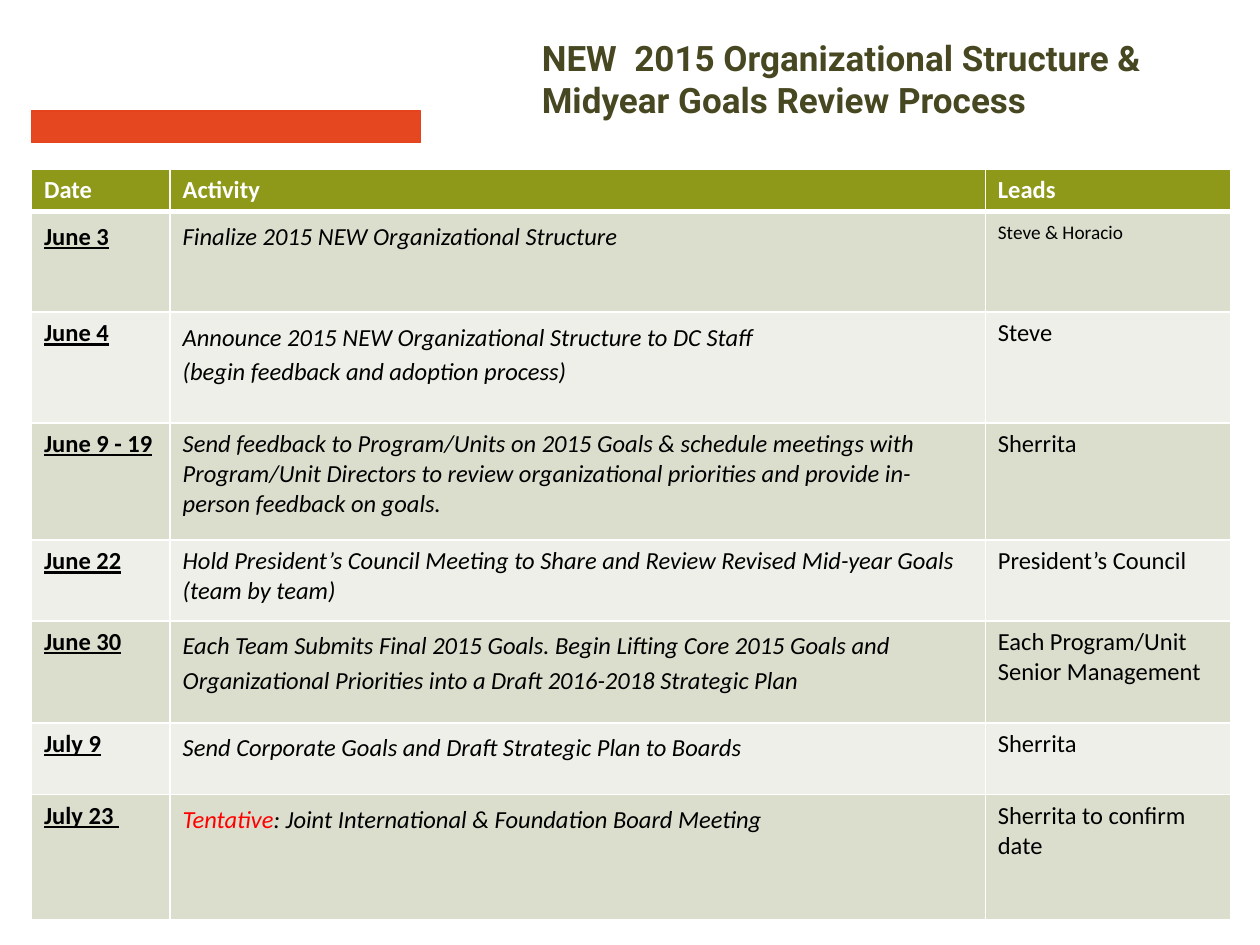
from dataclasses import dataclass

from lxml import etree
from pptx import Presentation
from pptx.dml.color import RGBColor
from pptx.enum.shapes import MSO_SHAPE
from pptx.enum.text import MSO_ANCHOR, MSO_AUTO_SIZE, PP_ALIGN
from pptx.oxml.ns import qn
from pptx.util import Inches, Pt

RECTANGLE = MSO_SHAPE.RECTANGLE
LEFT = PP_ALIGN.LEFT
MIDDLE = MSO_ANCHOR.MIDDLE
NO_AUTOFIT = MSO_AUTO_SIZE.NONE
TITLE_ONLY = 5

COLORS = {
    "accent": "E54721",
    "accent_line": "E5431B",
    "title": "474822",
    "header": "8E991A",
    "odd_row": "DBDECD",
    "even_row": "EEEFE8",
    "white": "FFFFFF",
    "black": "000000",
    "tentative": "FF0000",
}
HEADINGS = ("Date", "Activity", "Leads")
COLUMN_WIDTHS = (1.1, 6.47, 1.95)
HEADER_HEIGHT = 0.32
LOOSE = 1.15


@dataclass
class Step:
    date: str
    activity: str
    leads: str
    height: float
    activity_spacing: float = 1.0
    side_spacing: float = 1.0
    leads_size: int = 14
    flag: str = ""


STEPS = (
    Step("June 3", "Finalize 2015 NEW Organizational Structure", "Steve & Horacio",
         0.8, LOOSE, LOOSE, 11),
    Step("June 4", "Announce 2015 NEW Organizational Structure to DC Staff\n"
         "(begin feedback and adoption process)", "Steve", 0.88, LOOSE),
    Step("June 9 - 19", "Send feedback to Program/Units on 2015 Goals & schedule meetings "
         "with Program/Unit Directors to review organizational priorities and provide "
         "in-person feedback on goals.", "Sherrita", 0.93),
    Step("June 22", "Hold President’s Council Meeting to Share and Review Revised "
         "Mid-year Goals (team by team)", "President’s Council", 0.64),
    Step("June 30", "Each Team Submits Final 2015 Goals. Begin Lifting Core 2015 Goals "
         "and Organizational Priorities into a Draft 2016-2018 Strategic Plan",
         "Each Program/Unit\nSenior Management", 0.81, LOOSE),
    Step("July 9", "Send Corporate Goals and Draft Strategic Plan to Boards", "Sherrita",
         0.57, LOOSE),
    Step("July 23 ", ": Joint International & Foundation Board Meeting",
         "Sherrita to confirm date", 0.99, LOOSE, flag="Tentative"),
)


def rgb(name: str) -> RGBColor:
    return RGBColor.from_string(COLORS[name])


def set_borders(cell, bottom: float) -> None:
    properties = cell._tc.get_or_add_tcPr()
    widths = {"a:lnL": 1, "a:lnR": 1, "a:lnT": 1, "a:lnB": bottom}
    for position, (tag, width) in enumerate(widths.items()):
        border = etree.Element(qn(tag), w=str(Pt(width)))
        fill = etree.SubElement(border, qn("a:solidFill"))
        etree.SubElement(fill, qn("a:srgbClr"), val=COLORS["white"])
        properties.insert(position, border)


def fill_cell(cell, text: str, fill: str, color: str = "black", size: int = 14,
              spacing: float = 1.0, bold: bool = False, italic: bool = False,
              underline: bool = False, flag: str = "", bottom: float = 1) -> None:
    cell.fill.solid()
    cell.fill.fore_color.rgb = rgb(fill)
    set_borders(cell, bottom)
    frame = cell.text_frame
    frame.text = flag or text
    if flag:
        frame.paragraphs[0].runs[0].font.color.rgb = rgb("tentative")
        frame.paragraphs[0].add_run().text = text
    for paragraph in frame.paragraphs:
        paragraph.line_spacing = spacing
        font = paragraph.font
        font.name, font.size = "Calibri", Pt(size)
        font.bold, font.italic, font.underline = bold, italic, underline
        for run in paragraph.runs:
            run.font.bold = bold
            if not (flag and run.text == flag):
                run.font.color.rgb = rgb(color)


def add_accent_bar(slide) -> None:
    bar = slide.shapes.add_shape(RECTANGLE, Inches(0.25), Inches(0.88),
                                 Inches(3.09), Inches(0.25))
    bar.shadow.inherit = False
    bar.fill.solid()
    bar.fill.fore_color.rgb = rgb("accent")
    bar.line.color.rgb = rgb("accent_line")
    bar.line.width = Pt(0.75)


def add_title(slide) -> None:
    title = slide.shapes.title
    title.left, title.top = Inches(4.2), Inches(0.2)
    title.width, title.height = Inches(5.51), Inches(0.85)
    frame = title.text_frame
    frame.text = "NEW  2015 Organizational Structure & Midyear Goals Review Process"
    frame.word_wrap = True
    frame.auto_size = NO_AUTOFIT
    frame.vertical_anchor = MIDDLE
    paragraph = frame.paragraphs[0]
    paragraph.alignment = LEFT
    font = paragraph.font
    font.name, font.size, font.bold = "Roboto", Pt(20), True
    font.color.rgb = rgb("title")


def add_schedule(slide) -> None:
    heights = (HEADER_HEIGHT, *(step.height for step in STEPS))
    schedule = slide.shapes.add_table(
        len(heights), len(HEADINGS), Inches(0.25), Inches(1.34),
        Inches(sum(COLUMN_WIDTHS)), Inches(sum(heights))).table
    for column, width in zip(schedule.columns, COLUMN_WIDTHS):
        column.width = Inches(width)
    for row, height in zip(schedule.rows, heights):
        row.height = Inches(height)
    for column, heading in enumerate(HEADINGS):
        fill_cell(schedule.cell(0, column), heading, "header", "white", bold=True, bottom=3)
    for row, step in enumerate(STEPS, start=1):
        fill = "odd_row" if row % 2 else "even_row"
        date, activity, leads = (schedule.cell(row, column) for column in range(3))
        fill_cell(date, step.date, fill, spacing=step.side_spacing, bold=True, underline=True)
        fill_cell(activity, step.activity, fill, spacing=step.activity_spacing,
                  italic=True, flag=step.flag)
        fill_cell(leads, step.leads, fill, size=step.leads_size, spacing=step.side_spacing)


def main() -> None:
    presentation = Presentation()
    presentation.slide_width, presentation.slide_height = Inches(10), Inches(7.5)
    slide = presentation.slides.add_slide(presentation.slide_layouts[TITLE_ONLY])
    add_accent_bar(slide)
    add_title(slide)
    add_schedule(slide)
    presentation.save("out.pptx")


if __name__ == "__main__":
    main()
